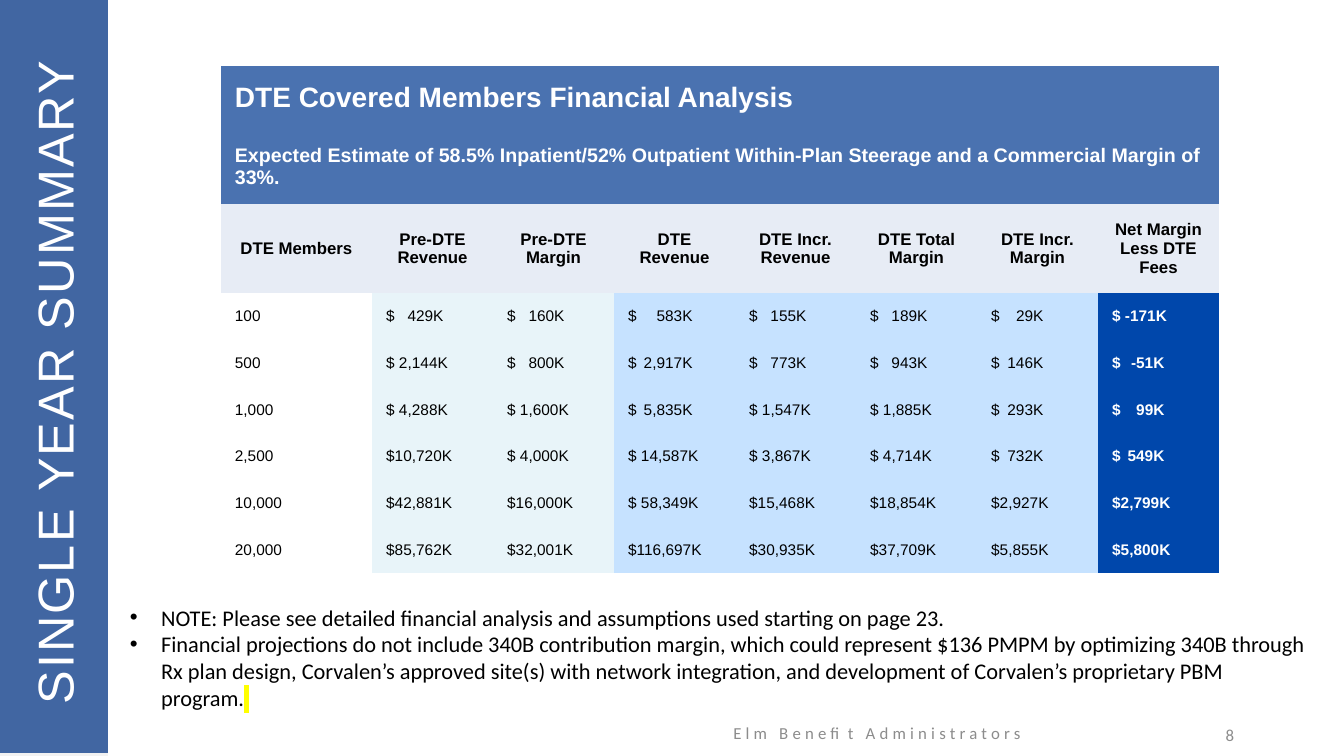
import pptx
import pptx.dml.color
import pptx.enum.shapes
import pptx.enum.text
import pptx.oxml
import pptx.oxml.ns
import pptx.util

Inches = pptx.util.Inches
Pt = pptx.util.Pt
qn = pptx.oxml.ns.qn
align = pptx.enum.text.PP_ALIGN
middle = pptx.enum.text.MSO_ANCHOR.MIDDLE


def color(value):
    return pptx.dml.color.RGBColor.from_string(value)


def format_paragraph(paragraph, alignment, font, size, value, bold=False, spacing=0):
    paragraph.alignment = alignment
    for run in paragraph.runs:
        run.font.name = font
        run.font.size = Pt(size)
        run.font.bold = bold
        run.font.color.rgb = color(value)
        if spacing:
            run.font._element.set("spc", str(int(spacing * 100)))


presentation = pptx.Presentation()
presentation.slide_width = Inches(13.33)
presentation.slide_height = Inches(7.5)
slide = presentation.slides.add_slide(presentation.slide_layouts[5])

for top, fill in [(0, "F2F2F2"), (-0.03, "254F96")]:
    sidebar = slide.shapes.add_shape(
        pptx.enum.shapes.MSO_SHAPE.RECTANGLE, 0, Inches(top), Inches(1.07), Inches(7.5))
    sidebar.shadow.inherit = False
    sidebar.fill.solid()
    sidebar.fill.fore_color.rgb = color(fill)
    sidebar.line.fill.background()
sidebar_color = sidebar._element.spPr.find(qn("a:solidFill")).find(qn("a:srgbClr"))
sidebar_color.makeelement
alpha = pptx.oxml.parse_xml(f'<a:alpha {pptx.oxml.ns.nsdecls("a")} val="86000"/>')
sidebar_color.append(alpha)

title = slide.shapes.title
title.left, title.top = Inches(-2.83), Inches(3.32)
title.width, title.height = Inches(6.72), Inches(0.82)
title.rotation = 270
title.text_frame.text = "SINGLE YEAR SUMMARY"
title.text_frame.auto_size = pptx.enum.text.MSO_AUTO_SIZE.NONE
title.text_frame.vertical_anchor = middle
format_paragraph(title.text_frame.paragraphs[0], align.LEFT, "Arial", 36, "FFFFFF", spacing=1.5)
sidebar._element.addnext(title._element)

footers = [
    ("Elm Benefit Administrators", 6.45, 7.07, 4.5, align.CENTER, 3),
    ("8", 9.34, 7.09, 3, align.RIGHT, 0),
]
for text, left, top, width, alignment, spacing in footers:
    footer = slide.shapes.add_textbox(Inches(left), Inches(top), Inches(width), Inches(0.4))
    footer.text_frame.word_wrap = True
    footer.text_frame.vertical_anchor = middle
    footer.text_frame.text = text
    format_paragraph(footer.text_frame.paragraphs[0], alignment, "Calibri", 12, "8C8C8C", spacing=spacing)

notes = [
    "NOTE: Please see detailed financial analysis and assumptions used starting on page 23.",
    "Financial projections do not include 340B contribution margin, which could represent $136 PMPM "
    "by optimizing 340B through Rx plan design, Corvalen’s approved site(s) with network integration, "
    "and development of Corvalen’s proprietary PBM program.",
]
notes_box = slide.shapes.add_textbox(Inches(1.19), Inches(5.94), Inches(11.9), Inches(0.91))
notes_frame = notes_box.text_frame
notes_frame.word_wrap = True
notes_frame.text = "\n".join(notes)
highlighted_run = notes_frame.paragraphs[-1].add_run()
highlighted_run.text = " "
for paragraph in notes_frame.paragraphs:
    properties = paragraph._element.get_or_add_pPr()
    properties.set("marL", str(Inches(0.31)))
    properties.set("indent", str(Inches(-0.31)))
    for bullet in ['<a:buFont {} typeface="Arial"/>', '<a:buChar {} char="•"/>']:
        properties.append(pptx.oxml.parse_xml(bullet.format(pptx.oxml.ns.nsdecls("a"))))
    format_paragraph(paragraph, align.LEFT, "Calibri", 16, "000000")
highlight = pptx.oxml.parse_xml(
    f'<a:highlight {pptx.oxml.ns.nsdecls("a")}><a:srgbClr val="FFFF00"/></a:highlight>')
highlighted_run.font._element.find(qn("a:solidFill")).addnext(highlight)

banners = [
    ("DTE Covered Members Financial Analysis", 20),
    ("Expected Estimate of 58.5% Inpatient/52% Outpatient Within-Plan Steerage "
     "and a Commercial Margin of 33%.", 14),
]
headers = ["DTE Members", "Pre-DTE Revenue", "Pre-DTE Margin", "DTE Revenue", "DTE Incr. Revenue",
           "DTE Total Margin", "DTE Incr. Margin", "Net Margin Less DTE Fees"]
figures = [
    ["100", "$\t429K", "$\t160K", "$\t583K", "$\t155K", "$\t189K", "$\t29K", "$ -171K"],
    ["500", "$ 2,144K", "$\t800K", "$\t2,917K", "$\t773K", "$\t943K", "$\t146K", "$\t-51K"],
    ["1,000", "$ 4,288K", "$ 1,600K", "$\t5,835K", "$ 1,547K", "$ 1,885K", "$\t293K", "$\t99K"],
    ["2,500", "$10,720K", "$ 4,000K", "$ 14,587K", "$ 3,867K", "$ 4,714K", "$\t732K", "$\t549K"],
    ["10,000", "$42,881K", "$16,000K", "$ 58,349K", "$15,468K", "$18,854K", "$2,927K", "$2,799K"],
    ["20,000", "$85,762K", "$32,001K", "$116,697K", "$30,935K", "$37,709K", "$5,855K", "$5,800K"],
]
column_fills = [None, "E8F4F9", "E8F4F9", "C6E2FF", "C6E2FF", "C6E2FF", "C6E2FF", "0047AB"]
column_tabs = [0, 0.57, 0.57, 0.64, 0.57, 0.57, 0.52, 0.52]
row_heights = [0.63, 0.73, 0.88] + [0.46] * len(figures)

table = slide.shapes.add_table(
    len(row_heights), len(headers), Inches(2.19), Inches(0.65), Inches(9.9), Inches(5)).table
table.first_row = False
table.horz_banding = False
table._tbl.tblPr.find(qn("a:tableStyleId")).text = "{2D5ABB26-0587-4C30-8999-92F81FD0307C}"
for index, column in enumerate(table.columns):
    column.width = Inches(1.2 if index else 1.5)
for row, height in zip(table.rows, row_heights):
    row.height = Inches(height)

cells = []
for row, (text, size) in enumerate(banners):
    table.cell(row, 0).merge(table.cell(row, len(headers) - 1))
    cells.append((row, 0, text, align.LEFT, size, "FFFFFF", True, "4A72B0"))
for column, text in enumerate(headers):
    cells.append((2, column, text, align.CENTER, 12, "000000", True, "E7ECF5"))
for row, amounts in enumerate(figures, 3):
    for column, text in enumerate(amounts):
        is_net = column == len(headers) - 1
        cells.append((row, column, text, align.LEFT, 11, "FFFFFF" if is_net else "000000",
                      is_net, column_fills[column]))

for row, column, text, alignment, size, text_color, bold, fill in cells:
    cell = table.cell(row, column)
    cell.margin_left = cell.margin_right = cell.margin_top = cell.margin_bottom = Inches(0.14)
    cell.vertical_anchor = middle
    if fill:
        cell.fill.solid()
        cell.fill.fore_color.rgb = color(fill)
    else:
        cell.fill.background()
    cell.text_frame.text = text
    paragraph = cell.text_frame.paragraphs[0]
    if "\t" in text:
        paragraph._element.get_or_add_pPr().append(pptx.oxml.parse_xml(
            f'<a:tabLst {pptx.oxml.ns.nsdecls("a")}>'
            f'<a:tab pos="{Inches(column_tabs[column])}" algn="r"/></a:tabLst>'))
    format_paragraph(paragraph, alignment, "Arial", size, text_color, bold)

presentation.save("out.pptx")
